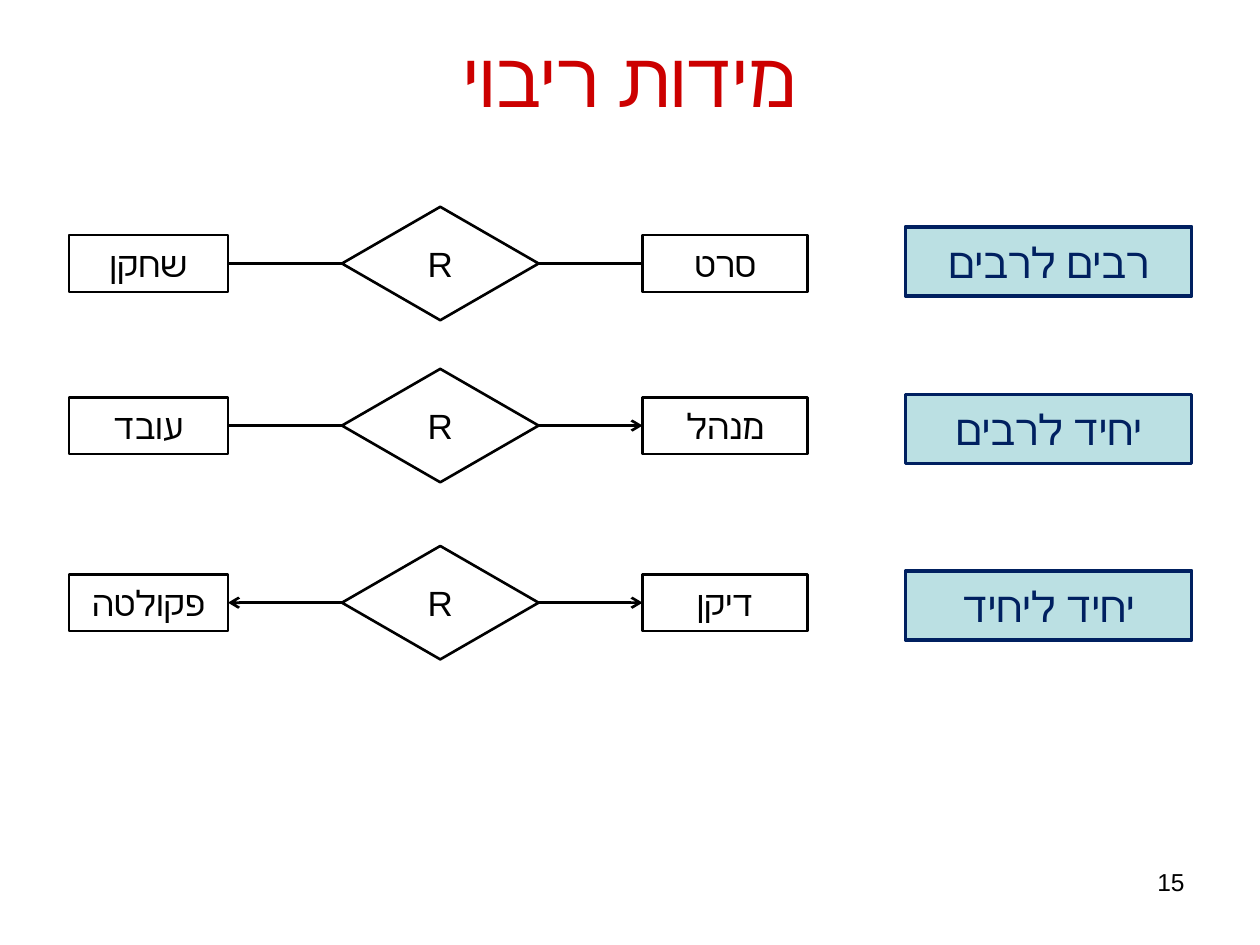
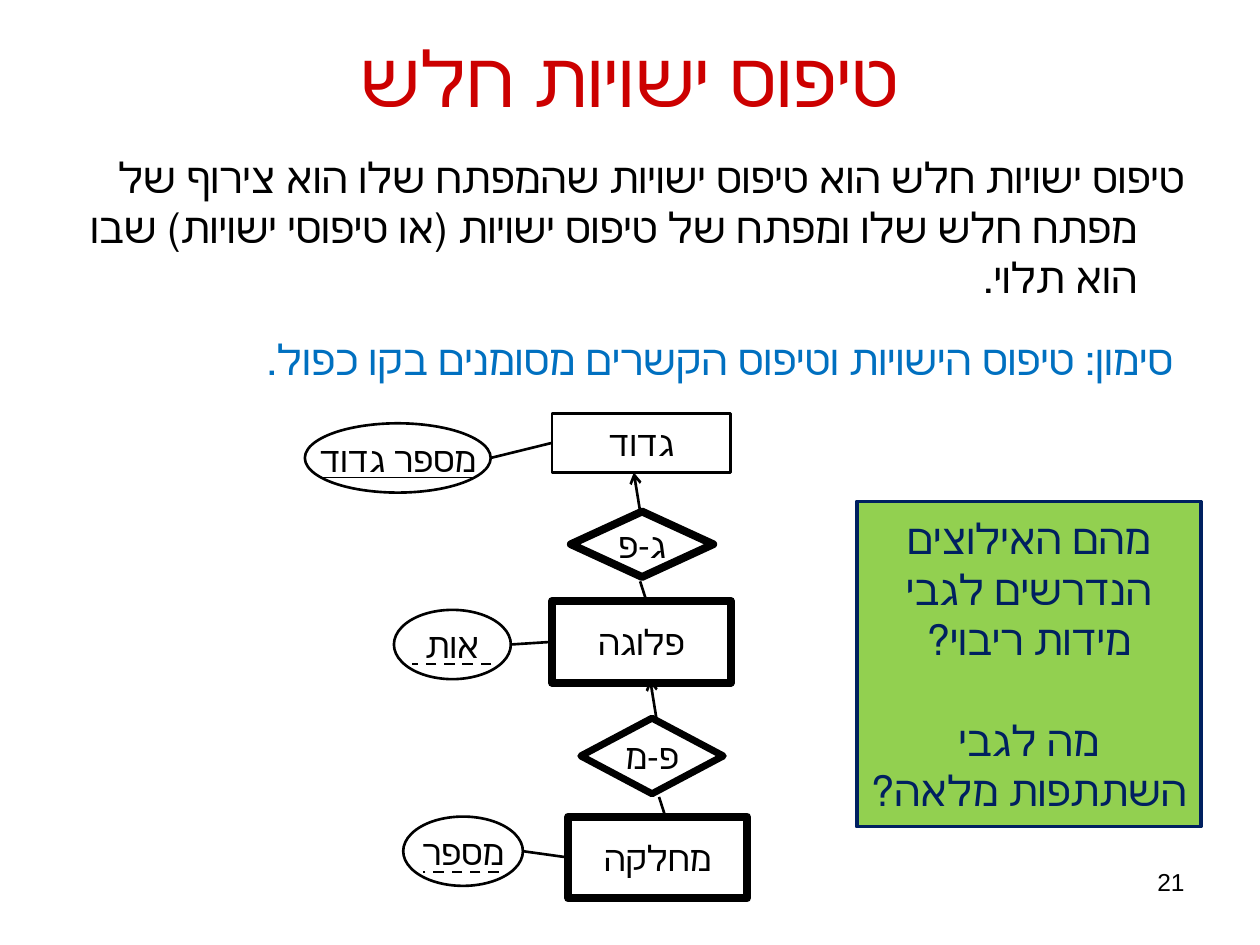
from dataclasses import dataclass

from pptx import Presentation
from pptx.dml.color import RGBColor
from pptx.enum.dml import MSO_LINE
from pptx.enum.shapes import MSO_CONNECTOR, MSO_SHAPE
from pptx.enum.text import MSO_ANCHOR, PP_ALIGN
from pptx.oxml import parse_xml
from pptx.oxml.ns import nsdecls
from pptx.util import Pt


@dataclass(frozen=True)
class Theme:
    font: str = "Arial"
    ink: str = "000000"
    title: str = "CC0000"
    note: str = "0070C0"
    navy: str = "002060"
    pale: str = "BBE0E3"
    green: str = "92D050"
    title_size: int = 44
    body_size: int = 24
    shape_size: int = 20
    number_size: int = 14
    thin: float = 1.5
    frame: float = 2
    thick: float = 4.5


THEME = Theme()
TOP, LEFT, BOTTOM, RIGHT = range(4)


def color(value):
    return RGBColor.from_string(value)


def write(frame, lines, size, ink=THEME.ink, align=PP_ALIGN.CENTER, right_to_left=True, underline=False):
    frame.text = "\n".join(lines)
    for paragraph in frame.paragraphs:
        paragraph.alignment = align
        if right_to_left:
            paragraph._p.get_or_add_pPr().set("rtl", "1")
        for span in paragraph.runs:
            span.font.name = THEME.font
            span.font.size = Pt(size)
            span.font.color.rgb = color(ink)
            if underline:
                span.font.underline = True


def add_text(page, bounds, lines, size, anchor=MSO_ANCHOR.TOP, **style):
    box = page.shapes.add_textbox(*map(Pt, bounds))
    box.text_frame.word_wrap = True
    box.text_frame.vertical_anchor = anchor
    write(box.text_frame, lines, size, **style)
    return box


def add_page(deck, title, number):
    page = deck.slides.add_slide(deck.slide_layouts[6])
    add_text(page, (36, 21.6, 648, 44), [title], THEME.title_size, MSO_ANCHOR.MIDDLE, ink=THEME.title)
    add_text(page, (516.2, 491.8, 167.8, 37.4), [str(number)], THEME.number_size,
             align=PP_ALIGN.RIGHT, right_to_left=False)
    return page


def add_node(page, kind, bounds, text, width=THEME.thin, underline=False):
    node = page.shapes.add_shape(kind, *map(Pt, bounds))
    node.shadow.inherit = False
    node.fill.background()
    node.line.color.rgb = color(THEME.ink)
    node.line.width = Pt(width)
    node.text_frame.word_wrap = False
    node.text_frame.vertical_anchor = MSO_ANCHOR.MIDDLE
    write(node.text_frame, [text], THEME.shape_size, underline=underline)
    return node


def add_panel(page, bounds, lines, fill):
    panel = page.shapes.add_shape(MSO_SHAPE.RECTANGLE, *map(Pt, bounds))
    panel.shadow.inherit = False
    panel.fill.solid()
    panel.fill.fore_color.rgb = color(fill)
    panel.line.color.rgb = color(THEME.navy)
    panel.line.width = Pt(THEME.frame)
    panel.text_frame.word_wrap = True
    panel.text_frame.vertical_anchor = MSO_ANCHOR.MIDDLE
    write(panel.text_frame, lines, THEME.body_size, ink=THEME.navy)
    return panel


def add_line(page, start=(0, 0), end=(0, 0), arrow=False, dashed=False, begin_at=None, end_at=None):
    line = page.shapes.add_connector(MSO_CONNECTOR.STRAIGHT, *map(Pt, (*start, *end)))
    if begin_at:
        line.begin_connect(*begin_at)
    if end_at:
        line.end_connect(*end_at)
    line.line.color.rgb = color(THEME.ink)
    line.line.width = Pt(THEME.thin)
    if dashed:
        line.line.dash_style = MSO_LINE.DASH
    properties = line.element.spPr
    if arrow:
        properties.get_or_add_ln().append(parse_xml(f'<a:tailEnd {nsdecls("a")} type="arrow"/>'))
    properties.append(parse_xml(f'<a:effectLst {nsdecls("a")}/>'))


def add_relation(page, middle, left_name, right_name, left_arrow, right_arrow):
    left = add_node(page, MSO_SHAPE.RECTANGLE, (39.4, middle - 16.2, 90.9, 32.4), left_name)
    right = add_node(page, MSO_SHAPE.RECTANGLE, (367.2, middle - 16.2, 94.3, 32.4), right_name)
    relation = add_node(page, MSO_SHAPE.DIAMOND, (195.4, middle - 32.4, 112.4, 64.8), "R")
    add_line(page, begin_at=(relation, LEFT), end_at=(left, RIGHT), arrow=left_arrow)
    add_line(page, begin_at=(relation, RIGHT), end_at=(right, LEFT), arrow=right_arrow)


def add_attribute(page, entity, bounds, text, underline=False):
    left, top, width, height = bounds
    add_node(page, MSO_SHAPE.OVAL, bounds, text, underline=underline)
    add_line(page, end=(left + width, top + height / 2), begin_at=(entity, LEFT))


def add_weak_entity(page, left, top, name, relation_name, relation_bounds, tie_shift, width):
    relation_top = relation_bounds[1]
    add_line(page, (left + 50.4, relation_top), (left + 46.8, relation_top - 22.3), arrow=True)
    add_node(page, MSO_SHAPE.DIAMOND, relation_bounds, relation_name, width)
    tie = left + tie_shift
    add_line(page, (tie, top - 11.2), (tie + 3.6, top))
    return add_node(page, MSO_SHAPE.RECTANGLE, (left, top, 102.2, 46.8), name, THEME.thick)


def cardinality_page(deck):
    page = add_page(deck, "מידות ריבוי", 15)
    rows = [
        (150.6, 129.6, "שחקן", "סרט", False, False, "רבים לרבים"),
        (243.2, 225.4, "עובד", "מנהל", False, True, "יחיד לרבים"),
        (344.4, 326.2, "פקולטה", "דיקן", True, True, "יחיד ליחיד"),
    ]
    for middle, label_top, left, right, left_arrow, right_arrow, label in rows:
        add_relation(page, middle, left, right, left_arrow, right_arrow)
        add_panel(page, (517.4, label_top, 163.6, 39.6), [label], THEME.pale)


def weak_entity_page(deck):
    page = add_page(deck, "טיפוס ישויות חלש", 21)
    body = add_text(page, (36, 82.8, 648, 430.6), [
        "טיפוס ישויות חלש הוא טיפוס ישויות שהמפתח שלו הוא צירוף של מפתח חלש שלו"
        " ומפתח של טיפוס ישויות (או טיפוסי ישויות) שבו הוא תלוי.",
        "סימון: טיפוס הישויות וטיפוס הקשרים מסומנים בקו כפול.",
    ], THEME.body_size, align=PP_ALIGN.RIGHT)
    definition, notation = body.text_frame.paragraphs
    for paragraph, indent in ((definition, -27), (notation, -20.5)):
        properties = paragraph._p.get_or_add_pPr()
        properties.set("marL", str(Pt(27)))
        properties.set("indent", str(Pt(indent)))
    notation.space_before = Pt(18)
    notation.runs[0].font.color.rgb = color(THEME.note)

    battalion = add_node(page, MSO_SHAPE.RECTANGLE, (315.4, 236.2, 102.2, 33.8), "גדוד")
    company = add_weak_entity(page, 315.4, 343.4, "פלוגה", "ג-פ", (326.2, 292.3, 81.4, 37.4), 50.4, THEME.thick)
    platoon = add_weak_entity(page, 324.7, 466.6, "מחלקה", "פ-מ", (331.9, 410.4, 81.4, 43.2), 51.9, 4)

    add_attribute(page, battalion, (174.2, 241.9, 106.2, 39.6), "מספר גדוד", underline=True)
    add_attribute(page, company, (225.1, 348.5, 66.8, 39.6), "אות")
    add_attribute(page, platoon, (230.4, 466.6, 68.4, 39.6), "מספר")
    for start, end, height in ((280.8, 235.4, 379.4), (285.1, 241.9, 498.2)):
        add_line(page, (start, height), (end, height), dashed=True)

    question = add_panel(page, (489.6, 286.6, 196.6, 185.8), [
        "מהם האילוצים הנדרשים לגבי מידות ריבוי?",
        "מה לגבי השתתפות מלאה?",
    ], THEME.green)
    question.text_frame.paragraphs[1].space_before = Pt(28.8)


def main():
    deck = Presentation()
    deck.slide_width, deck.slide_height = Pt(720), Pt(540)
    cardinality_page(deck)
    weak_entity_page(deck)
    deck.save("out.pptx")


if __name__ == "__main__":
    main()
